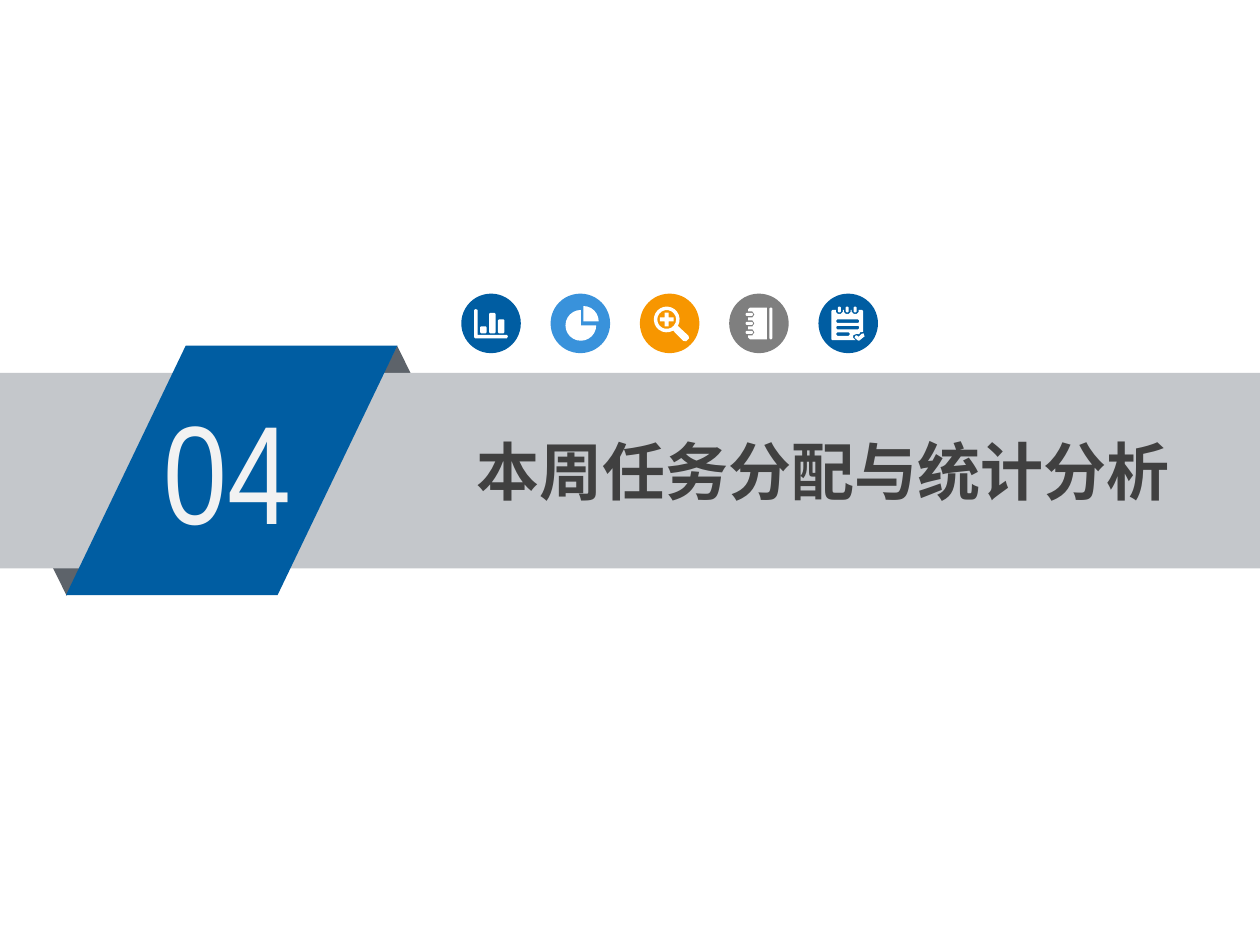
from dataclasses import dataclass
from math import cos, radians, sin

from lxml import etree
from pptx import Presentation
from pptx.dml.color import RGBColor
from pptx.enum.shapes import MSO_SHAPE
from pptx.enum.text import MSO_ANCHOR, MSO_AUTO_SIZE, PP_ALIGN
from pptx.oxml.ns import qn
from pptx.util import Cm, Pt

RECTANGLE = MSO_SHAPE.RECTANGLE
ELLIPSE = MSO_SHAPE.OVAL
TRIANGLE = MSO_SHAPE.ISOSCELES_TRIANGLE
PARALLELOGRAM = MSO_SHAPE.PARALLELOGRAM
LEFT = PP_ALIGN.LEFT
MIDDLE = MSO_ANCHOR.MIDDLE
NO_AUTOFIT = MSO_AUTO_SIZE.NONE
TITLE_ONLY_LAYOUT = 5


@dataclass(frozen=True)
class Theme:
    blue: str = "005DA2"
    light_blue: str = "3992DB"
    orange: str = "F79600"
    grey: str = "7F7F7F"
    band: str = "C4C7CB"
    fold: str = "5D636A"
    white: str = "FFFFFF"
    number: str = "F2F2F2"
    title: str = "404040"
    number_font: str = "Arial Narrow"
    title_font: str = "Noto Sans CJK SC"
    number_size: int = 80
    title_size: int = 36


THEME = Theme()
DISC_SIZE = 1.2
DISC_PITCH = 1.8
FIRST_DISC_CENTRE = (9.9, 6.52)


def paint(shape, color):
    shape.shadow.inherit = False
    shape.fill.solid()
    shape.fill.fore_color.rgb = RGBColor.from_string(color)
    shape.line.fill.background()


def add_filled(group, kind, left, top, width, height, color, rotation=0):
    shape = group.shapes.add_shape(kind, Cm(left), Cm(top), Cm(width), Cm(height))
    shape.rotation = rotation
    paint(shape, color)
    return shape


def add_outline(group, contours, centre_x, centre_y, color):
    """Draw closed contours, measured from a centre, as one shape."""
    placed = [[(Cm(centre_x + x), Cm(centre_y + y)) for x, y in contour]
              for contour in contours]
    builder = group.shapes.build_freeform(*placed[0][0])
    builder.add_line_segments(placed[0][1:], close=True)
    for contour in placed[1:]:
        builder.move_to(*contour[0])
        builder.add_line_segments(contour[1:], close=True)
    paint(builder.convert_to_shape(), color)


def write_text(shape, text, *, font, size, color, bold=False):
    frame = shape.text_frame
    frame.word_wrap = True
    frame.auto_size = NO_AUTOFIT
    frame.vertical_anchor = MIDDLE
    frame.margin_left = frame.margin_right = Cm(0.2)
    frame.margin_top = frame.margin_bottom = Cm(0.1)
    paragraph = frame.paragraphs[0]
    paragraph.alignment = LEFT
    run = paragraph.add_run()
    run.text = text
    run.font.size = Pt(size)
    run.font.bold = bold
    run.font.color.rgb = RGBColor.from_string(color)
    run.font.name = font
    # Chinese characters take their font from a:ea
    etree.SubElement(run._r.get_or_add_rPr(), qn("a:ea"), typeface=font)


# Contours, in centimetres from the disc centre
def bar(left, top, width, height, cut=0.02):
    """A box with its corners cut."""
    right, bottom = left + width, top + height
    return [(left + cut, top), (right - cut, top), (right, top + cut),
            (right, bottom - cut), (right - cut, bottom), (left + cut, bottom),
            (left, bottom - cut), (left, top + cut)]


def arc(centre_x, centre_y, radius, start, end, steps):
    angles = [radians(start + (end - start) * step / steps) for step in range(steps + 1)]
    return [(centre_x + radius * cos(angle), centre_y + radius * sin(angle))
            for angle in angles]


def bar_chart_icon():
    axes = [(-0.34, -0.27), (-0.31, -0.29), (-0.27, -0.27), (-0.27, 0.23),
            (0.32, 0.23), (0.34, 0.26), (0.32, 0.3), (-0.32, 0.3), (-0.34, 0.28)]
    columns = [bar(-0.22 + 0.18 * index, 0.2 - height, 0.13, height)
               for index, height in enumerate((0.14, 0.41, 0.28))]
    return [axes, *columns]


def pie_icon():
    return [[(0.01, 0.04)] + arc(0.01, 0.04, 0.31, 0, 270, 18),
            [(0.06, -0.04)] + arc(0.06, -0.04, 0.31, 270, 360, 6)]


def magnifier_icon():
    x, y, arm, half = -0.06, -0.08, 0.14, 0.04
    outside = arc(x, y, 0.26, 60, 390, 20) + [
        (0.38, 0.25), (0.39, 0.3), (0.33, 0.36), (0.27, 0.35)]
    plus = [(x - half, y - arm), (x + half, y - arm), (x + half, y - half),
            (x + arm, y - half), (x + arm, y + half), (x + half, y + half),
            (x + half, y + arm), (x - half, y + arm), (x - half, y + half),
            (x - arm, y + half), (x - arm, y - half), (x - half, y - half)]
    return [outside, arc(x, y, 0.19, 0, 360, 18), plus]


def notebook_icon():
    middles = (0.18, 0, -0.18)
    cover = [(0.16, -0.32), (0.16, 0.32), (-0.18, 0.32), (-0.22, 0.28)]
    for middle in middles:
        cover += [(-0.22, middle + 0.06), (-0.13, middle + 0.06), (-0.09, middle),
                  (-0.13, middle - 0.06), (-0.22, middle - 0.06)]
    cover += [(-0.22, -0.28), (-0.18, -0.32)]
    rings = [bar(-0.27, middle - 0.03, 0.15, 0.06) for middle in middles]
    return [cover, bar(0.21, -0.32, 0.06, 0.64), *rings]


def checklist_icon():
    middles = (-0.18, -0.02, 0.14)
    page = [(-0.34, 0.32), (-0.34, -0.25), (-0.32, -0.27)]
    for middle in middles:
        page += [(middle - 0.07, -0.27), (middle - 0.07, -0.23), (middle - 0.03, -0.19),
                 (middle + 0.03, -0.19), (middle + 0.07, -0.23), (middle + 0.07, -0.27)]
    page += [(0.28, -0.27), (0.3, -0.25), (0.3, 0.17), (0.24, 0.18), (0.22, 0.22),
             (0.17, 0.21), (0.1, 0.24), (0.1, 0.29), (0.15, 0.34), (-0.32, 0.34)]
    lines = [bar(-0.24, -0.08 + 0.13 * index, width, 0.07)
             for index, width in enumerate((0.46, 0.46, 0.27))]
    pins = [bar(middle - 0.03, -0.34, 0.06, 0.12) for middle in middles]
    check_mark = [(0.33, 0.26), (0.22, 0.35), (0.19, 0.34), (0.13, 0.29), (0.14, 0.25),
                  (0.17, 0.24), (0.21, 0.27), (0.27, 0.21), (0.31, 0.2)]
    return [page, *lines, *pins, check_mark]


def draw_icon_row(slide):
    icons = (
        (THEME.blue, bar_chart_icon),
        (THEME.light_blue, pie_icon),
        (THEME.orange, magnifier_icon),
        (THEME.grey, notebook_icon),
        (THEME.blue, checklist_icon),
    )
    first_x, centre_y = FIRST_DISC_CENTRE
    for index, (color, make_icon) in enumerate(icons):
        centre_x = first_x + DISC_PITCH * index
        group = slide.shapes.add_group_shape()
        add_filled(group, ELLIPSE, centre_x - DISC_SIZE / 2, centre_y - DISC_SIZE / 2,
                   DISC_SIZE, DISC_SIZE, color)
        add_outline(group, make_icon(), centre_x, centre_y, THEME.white)


def draw_banner(slide):
    group = slide.shapes.add_group_shape()
    add_filled(group, TRIANGLE, 6.86, 6.97, 2.29, 2.31, THEME.fold)
    add_filled(group, TRIANGLE, 0.2, 9.7, 2.29, 2.31, THEME.fold, rotation=180)
    add_filled(group, RECTANGLE, 0, 7.52, 25.4, 3.94, THEME.band)
    ribbon = add_filled(group, PARALLELOGRAM, 1.33, 6.97, 6.68, 5.03, THEME.blue)
    ribbon.adjustments[0] = 0.48
    number = group.shapes.add_textbox(Cm(3.1), Cm(7.65), Cm(3.68), Cm(3.61))
    write_text(number, "04", font=THEME.number_font, size=THEME.number_size,
               color=THEME.number)


def main():
    presentation = Presentation()
    presentation.slide_width, presentation.slide_height = Cm(25.4), Cm(19.05)
    slide = presentation.slides.add_slide(presentation.slide_layouts[TITLE_ONLY_LAYOUT])

    # Folded ribbon with the section number
    draw_banner(slide)

    # Section title, raised above the band
    title = slide.shapes.title
    title.left, title.top, title.width, title.height = Cm(9.4), Cm(8.61), Cm(14.6), Cm(1.73)
    write_text(title, "本周任务分配与统计分析", font=THEME.title_font,
               size=THEME.title_size, color=THEME.title, bold=True)
    slide.shapes._spTree.append(title._element)

    # Icons above the title
    draw_icon_row(slide)
    presentation.save("out.pptx")


if __name__ == "__main__":
    main()
